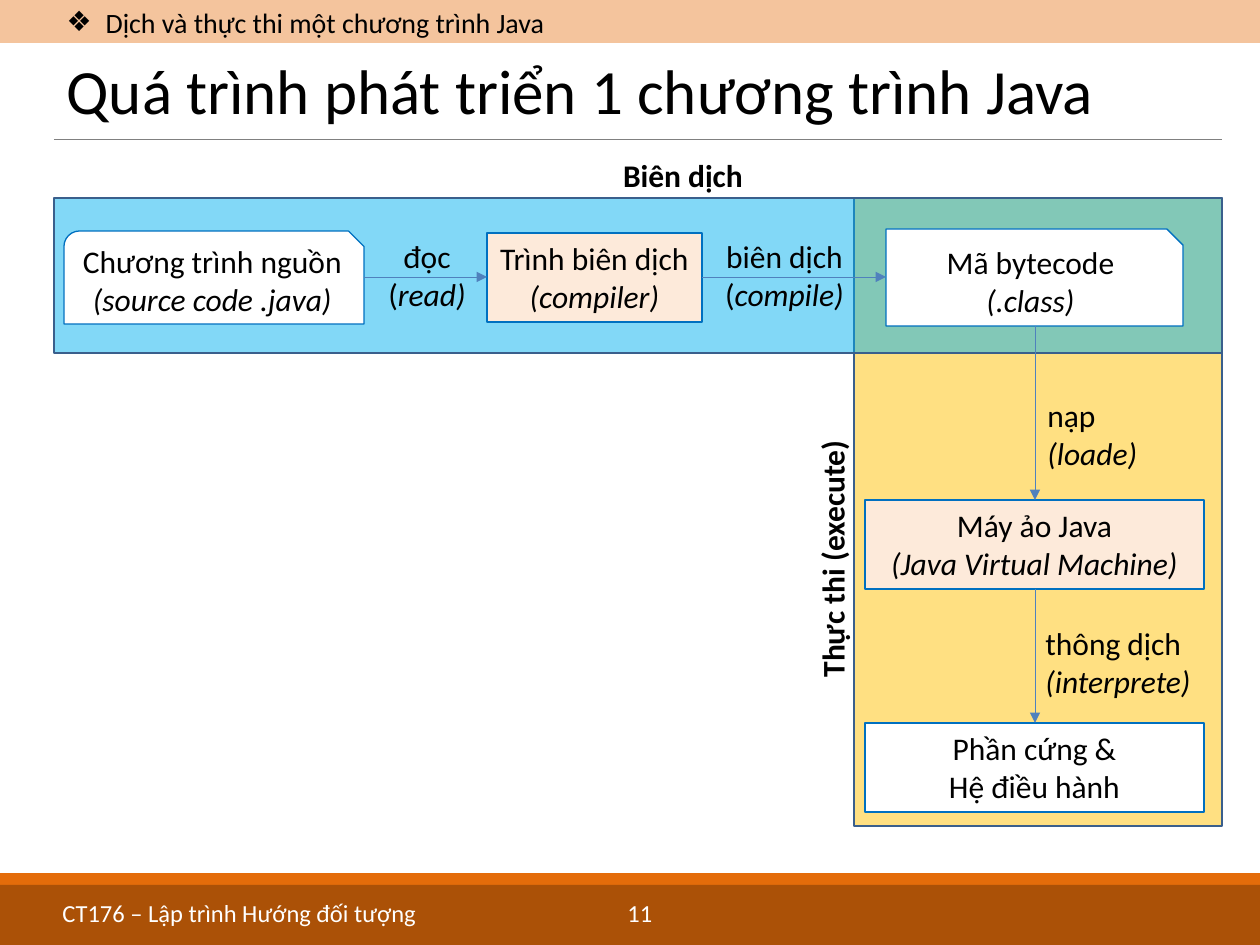
from lxml import etree
from pptx import Presentation
from pptx.dml.color import RGBColor
from pptx.enum.shapes import MSO_CONNECTOR, MSO_SHAPE as SHAPE
from pptx.enum.text import MSO_ANCHOR as ANCHOR, MSO_AUTO_SIZE, PP_ALIGN as ALIGN
from pptx.oxml.ns import qn
from pptx.util import Emu, Pt

PX = 914400 / 126
FONT = "Calibri"
BLACK = RGBColor(0x00, 0x00, 0x00)
WHITE = RGBColor(0xFF, 0xFF, 0xFF)
ORANGE = RGBColor(0xE4, 0x6C, 0x0A)
BROWN = RGBColor(0x98, 0x48, 0x07)
GRAY = RGBColor(0x80, 0x80, 0x80)
AMBER = RGBColor(0xFF, 0xC0, 0x00)
SKY = RGBColor(0x00, 0xB0, 0xF0)
NAVY = RGBColor(0x3A, 0x5F, 0x8C)
BLUE = RGBColor(0x00, 0x70, 0xC0)
STEEL = RGBColor(0x4F, 0x81, 0xBD)
PEACH = RGBColor(0xFD, 0xEA, 0xDA)

# In all texts, * switches italics on or off.
TITLE = "Quá trình phát triển 1 chương trình Java"
TOPIC = "Dịch và thực thi một chương trình Java"
FOOTER = [("CT176 – Lập trình Hướng đối tượng", 50, 500), ("11", 615, 80)]

# box (left, top, width, height), fill, opacity in %
BARS = [
    ((0, 0, 1260, 43), ORANGE, 40),
    ((0, 873, 1260, 72), ORANGE, 100),
    ((0, 885, 1260, 60), BROWN, 75),
]
PHASES = [
    ((854, 198, 368, 628), AMBER, 49),
    ((54, 198, 1168, 155), SKY, 49),
]
STEPS = [
    ("Chương trình nguồn\n*(source code .java)", (64, 231, 300, 93), SHAPE.SNIP_ROUND_RECTANGLE, WHITE),
    ("Trình biên dịch\n*(compiler)", (487, 233, 215, 89), SHAPE.RECTANGLE, PEACH),
    ("Mã bytecode\n*(.class)", (886, 229, 297, 97), SHAPE.SNIP_1_RECTANGLE, WHITE),
    ("Máy ảo Java\n*(Java Virtual Machine)", (865, 500, 339, 89), SHAPE.RECTANGLE, PEACH),
    ("Phần cứng &\nHệ điều hành", (865, 723, 339, 89), SHAPE.RECTANGLE, WHITE),
]
ARROWS = [
    (364, 277, 487, 277),
    (702, 277, 886, 277),
    (1035, 326, 1035, 500),
    (1035, 589, 1035, 723),
]
# text, box, alignment, bold, rotation
LABELS = [
    ("Biên dịch", (533, 150, 300, 50), ALIGN.CENTER, True, 0),
    ("Thực thi (execute)", (682, 534, 300, 50), ALIGN.CENTER, True, 270),
    ("đọc\n(*read)", (367, 231, 120, 89), ALIGN.CENTER, False, 0),
    ("biên dịch\n(*compile)", (699, 231, 171, 89), ALIGN.CENTER, False, 0),
    ("nạp\n*(loade)", (1035, 390, 188, 89), ALIGN.LEFT, False, 0),
    ("thông dịch\n*(interprete)", (1033, 618, 189, 89), ALIGN.LEFT, False, 0),
]


def px(*values):
    return [Emu(round(v * PX)) for v in values]


def put_text(sp, text, size=18, color=BLACK, bold=False, align=ALIGN.LEFT,
             anchor=ANCHOR.TOP, spacing=1.0):
    tf = sp.text_frame
    tf.word_wrap = True
    tf.auto_size = MSO_AUTO_SIZE.NONE
    tf.vertical_anchor = anchor
    for i, line in enumerate(text.split("\n")):
        p = tf.add_paragraph() if i else tf.paragraphs[0]
        p.alignment = align
        p.line_spacing = spacing
        p.space_before = Pt(0)
        for j, part in enumerate(line.split("*")):
            if part:
                r = p.add_run()
                r.text = part
                f = r.font
                f.name, f.size, f.bold, f.italic = FONT, Pt(size), bold, j % 2 == 1
                f.color.rgb = color
    return tf


def add_box(shapes, box, fill, opacity=100, line=None, width=1.0, kind=SHAPE.RECTANGLE):
    sp = shapes.add_shape(kind, *px(*box))
    sp.shadow.inherit = False
    sp.fill.solid()
    sp.fill.fore_color.rgb = fill
    if opacity < 100:
        clr = sp.fill._xPr.find(qn("a:solidFill"))[0]
        etree.SubElement(clr, qn("a:alpha"), val=str(opacity * 1000))
    if line is None:
        sp.line.fill.background()
    else:
        sp.line.color.rgb = line
        sp.line.width = Pt(width)
    return sp


def add_line(shapes, ends, color, arrow=False):
    cn = shapes.add_connector(MSO_CONNECTOR.STRAIGHT, *px(*ends))
    cn.line.color.rgb = color
    cn.line.width = Pt(0.5)
    if arrow:
        etree.SubElement(cn.line._get_or_add_ln(), qn("a:tailEnd"), type="triangle")
    etree.SubElement(cn._element.spPr, qn("a:effectLst"))


def add_label(shapes, text, box, **fmt):
    sp = shapes.add_textbox(*px(*box))
    put_text(sp, text, **fmt)
    return sp


def place(sp, box):
    sp.left, sp.top, sp.width, sp.height = px(*box)


def set_bullet(p, char, indent):
    pPr = p._p.get_or_add_pPr()
    pPr.set("marL", str(indent))
    pPr.set("indent", str(-indent))
    etree.SubElement(pPr, qn("a:buChar"), char=char)


def main():
    prs = Presentation()
    prs.slide_width, prs.slide_height = px(1260, 945)
    s = prs.slides.add_slide(prs.slide_layouts[1])
    shapes = s.shapes
    title, topic = s.placeholders

    for box, fill, opacity in BARS:
        add_box(shapes, box, fill, opacity)
    add_line(shapes, (54, 139, 1222, 139), GRAY)
    for text, left, width in FOOTER:
        add_label(shapes, text, (left, 892, width, 36), size=14, color=WHITE)

    place(title, (54, 50, 1168, 89))
    put_text(title, TITLE, size=36, anchor=ANCHOR.MIDDLE, spacing=0.9)
    place(topic, (54, 2, 1082, 40))
    tf = put_text(topic, TOPIC, size=16, anchor=ANCHOR.MIDDLE)
    set_bullet(tf.paragraphs[0], "❖", px(39)[0])

    for box, fill, opacity in PHASES:
        add_box(shapes, box, fill, opacity, line=NAVY)
    for text, box, kind, fill in STEPS:
        sp = add_box(shapes, box, fill, line=BLUE, width=0.75, kind=kind)
        put_text(sp, text, align=ALIGN.CENTER)
    for ends in ARROWS:
        add_line(shapes, ends, STEEL, arrow=True)
    for text, box, align, bold, rotation in LABELS:
        add_label(shapes, text, box, align=align, bold=bold).rotation = rotation

    # The title and topic are drawn above the bars.
    for sp in (title, topic):
        shapes._spTree.append(sp._element)

    prs.save("out.pptx")


if __name__ == "__main__":
    main()
